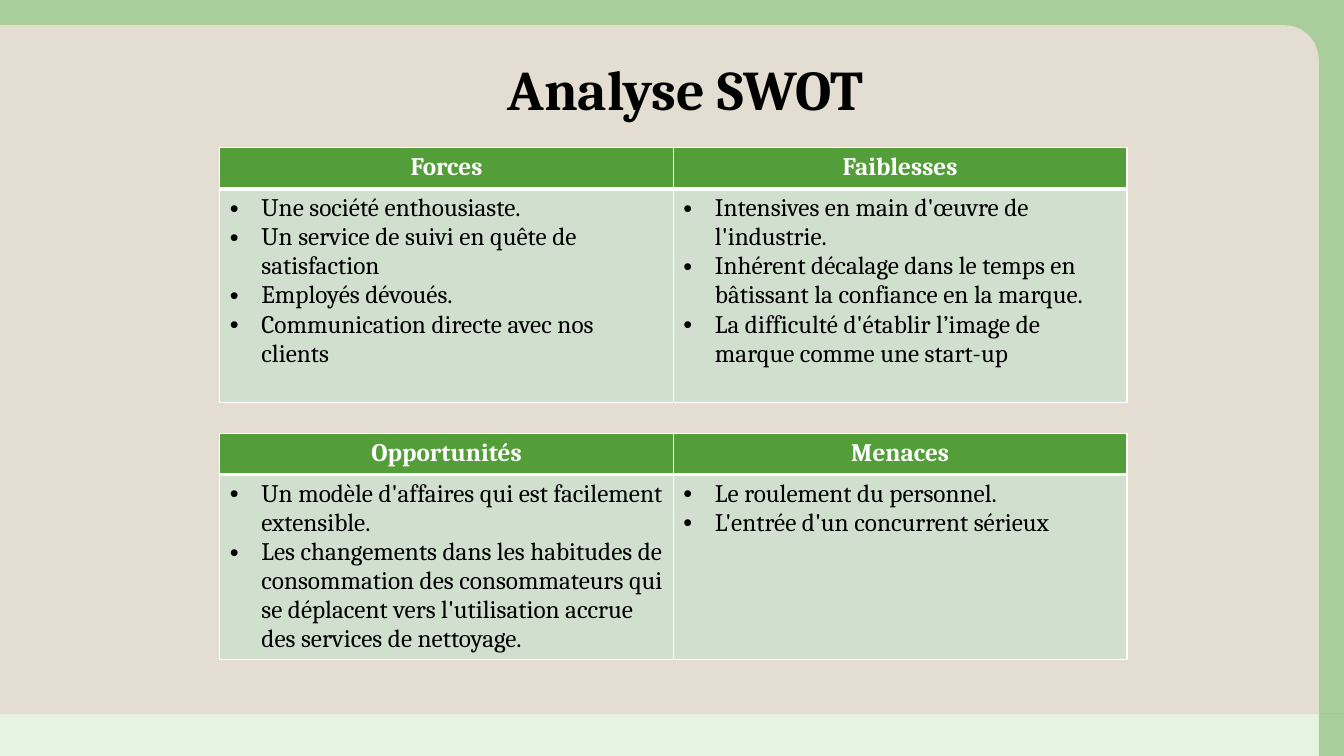
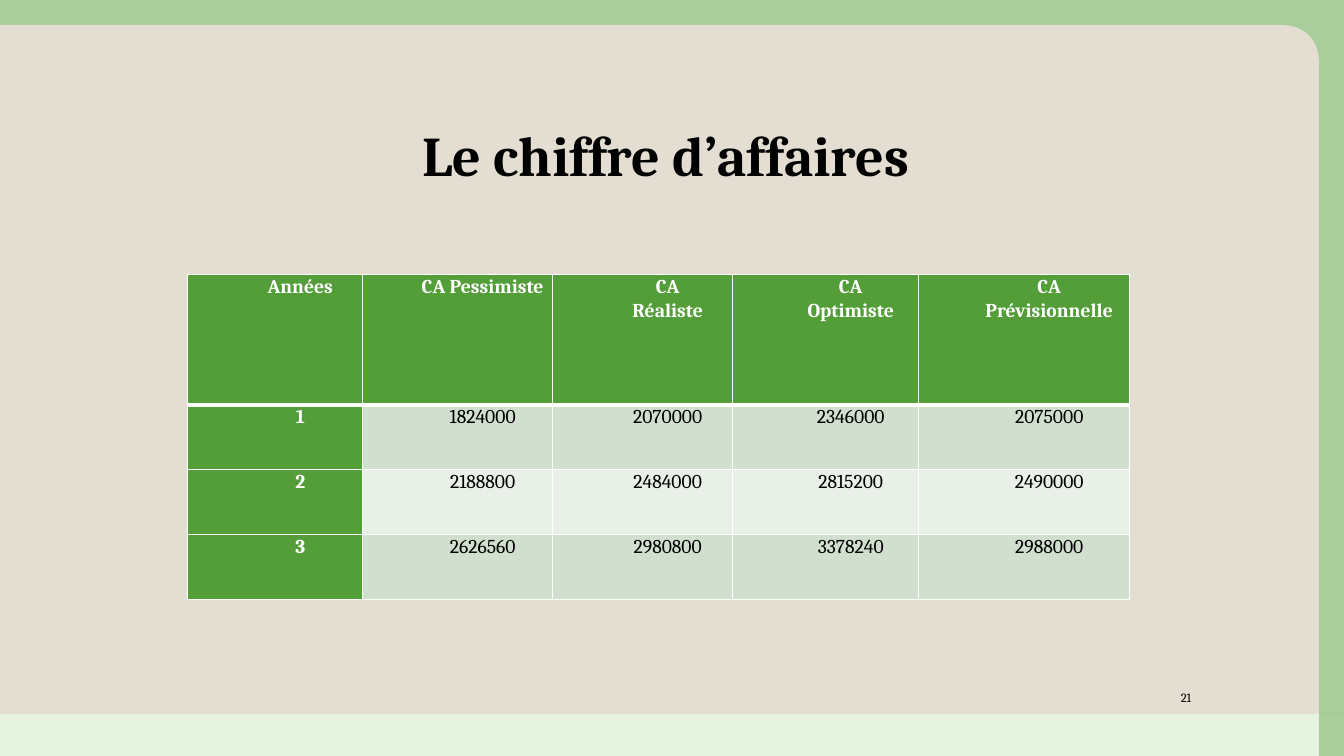
from lxml.etree import SubElement
from pptx import Presentation
from pptx.dml.color import RGBColor
from pptx.enum.shapes import MSO_SHAPE
from pptx.enum.text import MSO_ANCHOR, MSO_AUTO_SIZE, PP_ALIGN
from pptx.oxml import parse_xml
from pptx.oxml.ns import nsdecls, qn
from pptx.util import Pt

COLORS = {
    "green": "549E39",
    "mint": "DBEFD4",
    "sand": "E3DED1",
    "sage": "D1DFCE",
    "pale_sage": "E9F0E8",
    "black": "000000",
    "white": "FFFFFF",
}
FONT = "Cambria"


def set_font(paragraph, size, color="black", bold=False):
    font = paragraph.font
    font.name, font.size, font.bold = FONT, Pt(size), bold
    font.color.rgb = RGBColor.from_string(COLORS[color])


def style_cell(cell, fill, top=1, bottom=1):
    cell.fill.solid()
    cell.fill.fore_color.rgb = RGBColor.from_string(COLORS[fill])
    properties = cell._tc.get_or_add_tcPr()
    edges = [("lnL", 1), ("lnR", 1), ("lnT", top), ("lnB", bottom)]
    for position, (edge, width) in enumerate(edges):
        properties.insert(position, parse_xml(
            f'<a:{edge} {nsdecls("a")} w="{Pt(width)}"><a:solidFill>'
            f'<a:srgbClr val="{COLORS["white"]}"/></a:solidFill></a:{edge}>'))


prs = Presentation()
prs.slide_width, prs.slide_height = Pt(960), Pt(540)
layout = prs.slide_layouts[5]

slides = []
for heading, left, top, height in [
    ("Analyse SWOT", 111.6, 25.9, 65.5),
    ("Le chiffre d’affaires", 97.5, 44.6, 93.6),
]:
    slide = prs.slides.add_slide(layout)
    title = slide.shapes.title
    title.left, title.top, title.width, title.height = Pt(left), Pt(top), Pt(756), Pt(height)
    title.text_frame.text = heading
    title.text_frame.auto_size = MSO_AUTO_SIZE.NONE
    title.text_frame.vertical_anchor = MSO_ANCHOR.BOTTOM
    paragraph = title.text_frame.paragraphs[0]
    paragraph.alignment = PP_ALIGN.CENTER
    paragraph.line_spacing = 0.9
    set_font(paragraph, 40, bold=True)
    slides.append(slide)
swot, revenue = slides

bands = [
    (MSO_SHAPE.RECTANGLE, 0, 510, 942, 30, "mint", 70),
    (MSO_SHAPE.RECTANGLE, 942, 510, 18, 30, "green", 50),
    (MSO_SHAPE.RECTANGLE, 0, 0, 960, 510, "green", 50),
    (MSO_SHAPE.ROUND_1_RECTANGLE, 0, 18, 942, 492, "sand", 100),
]
for depth, (preset, left, top, width, height, color, opacity) in enumerate(bands):
    band = swot.shapes.add_shape(preset, Pt(left), Pt(top), Pt(width), Pt(height))
    band.shadow.inherit = False
    band.line.fill.background()
    band.fill.solid()
    band.fill.fore_color.rgb = RGBColor.from_string(COLORS[color])
    if opacity < 100:
        tint = band.element.spPr.find(".//" + qn("a:srgbClr"))
        SubElement(tint, qn("a:alpha"), val=str(opacity * 1000))
    if preset == MSO_SHAPE.ROUND_1_RECTANGLE:
        band.adjustments[0] = 0.05
    layout.shapes.element.insert(2 + depth, band.element)

quadrants = [
    (105.5, 152.5, {
        "Forces": [
            "Une société enthousiaste.",
            "Un service de suivi en quête de satisfaction",
            "Employés dévoués.",
            "Communication directe avec nos clients",
        ],
        "Faiblesses": [
            "Intensives en main d'œuvre de l'industrie.",
            "Inhérent décalage dans le temps en bâtissant la confiance en la marque.",
            "La difficulté d'établir l’image de marque comme une start-up",
        ],
    }),
    (309.5, 131.5, {
        "Opportunités": [
            "Un modèle d'affaires qui est facilement extensible.",
            "Les changements dans les habitudes de consommation des consommateurs "
            "qui se déplacent vers l'utilisation accrue des services de nettoyage.",
        ],
        "Menaces": [
            "Le roulement du personnel.",
            "L'entrée d'un concurrent sérieux",
        ],
    }),
]
for top, points_height, topics in quadrants:
    grid = swot.shapes.add_table(
        2, 2, Pt(157), Pt(top), Pt(648), Pt(29.5 + points_height)).table
    grid.horz_banding = False
    grid.rows[0].height, grid.rows[1].height = Pt(29.5), Pt(points_height)
    for column, (topic, points) in enumerate(topics.items()):
        header, body = grid.cell(0, column), grid.cell(1, column)
        style_cell(header, "green", bottom=3)
        style_cell(body, "sage", top=3)
        header.text = topic
        header.text_frame.paragraphs[0].alignment = PP_ALIGN.CENTER
        set_font(header.text_frame.paragraphs[0], 18, "white", True)
        body.text = "\n".join(points)
        for point in body.text_frame.paragraphs:
            properties = point._p.get_or_add_pPr()
            properties.set("marL", str(Pt(22.5)))
            properties.set("indent", str(-Pt(22.5)))
            SubElement(properties, qn("a:buFont"), typeface="Arial")
            SubElement(properties, qn("a:buChar"), char="•")
            set_font(point, 18)

forecast = [
    ["Années", "CA Pessimiste", "CA\nRéaliste", "CA\nOptimiste", "CA\nPrévisionnelle"],
    ["1", "1824000", "2070000", "2346000", "2075000"],
    ["2", "2188800", "2484000", "2815200", "2490000"],
    ["3", "2626560", "2980800", "3378240", "2988000"],
]
column_widths = [125, 135.7, 128.6, 132.9, 150.7]
row_heights = [92.9, 46.3, 46.3, 46.3]
grid = revenue.shapes.add_table(
    len(row_heights), len(column_widths), Pt(134), Pt(196.2),
    Pt(sum(column_widths)), Pt(sum(row_heights))).table
grid.horz_banding = False
for column, width in enumerate(column_widths):
    grid.columns[column].width = Pt(width)
for row, (height, values) in enumerate(zip(row_heights, forecast)):
    grid.rows[row].height = Pt(height)
    for column, value in enumerate(values):
        cell = grid.cell(row, column)
        heading = row == 0 or column == 0
        fill = "green" if heading else "sage" if row % 2 else "pale_sage"
        style_cell(cell, fill, top=3 if row == 1 else 1, bottom=3 if row == 0 else 1)
        cell.margin_left = cell.margin_right = Pt(5)
        cell.margin_top = cell.margin_bottom = 0
        cell.text = value
        for paragraph in cell.text_frame.paragraphs:
            paragraph.alignment = PP_ALIGN.CENTER
            paragraph.line_spacing = 1.07
            paragraph._p.get_or_add_pPr().set("marL", str(Pt(36)))
            set_font(paragraph, 14, "white" if heading else "black", heading)

page_number = revenue.shapes.add_textbox(Pt(798), Pt(492), Pt(60), Pt(12)).text_frame
page_number.word_wrap = True
page_number.vertical_anchor = MSO_ANCHOR.MIDDLE
page_number.text = "21"
page_number.paragraphs[0].alignment = PP_ALIGN.RIGHT
set_font(page_number.paragraphs[0], 9)

prs.save("out.pptx")
